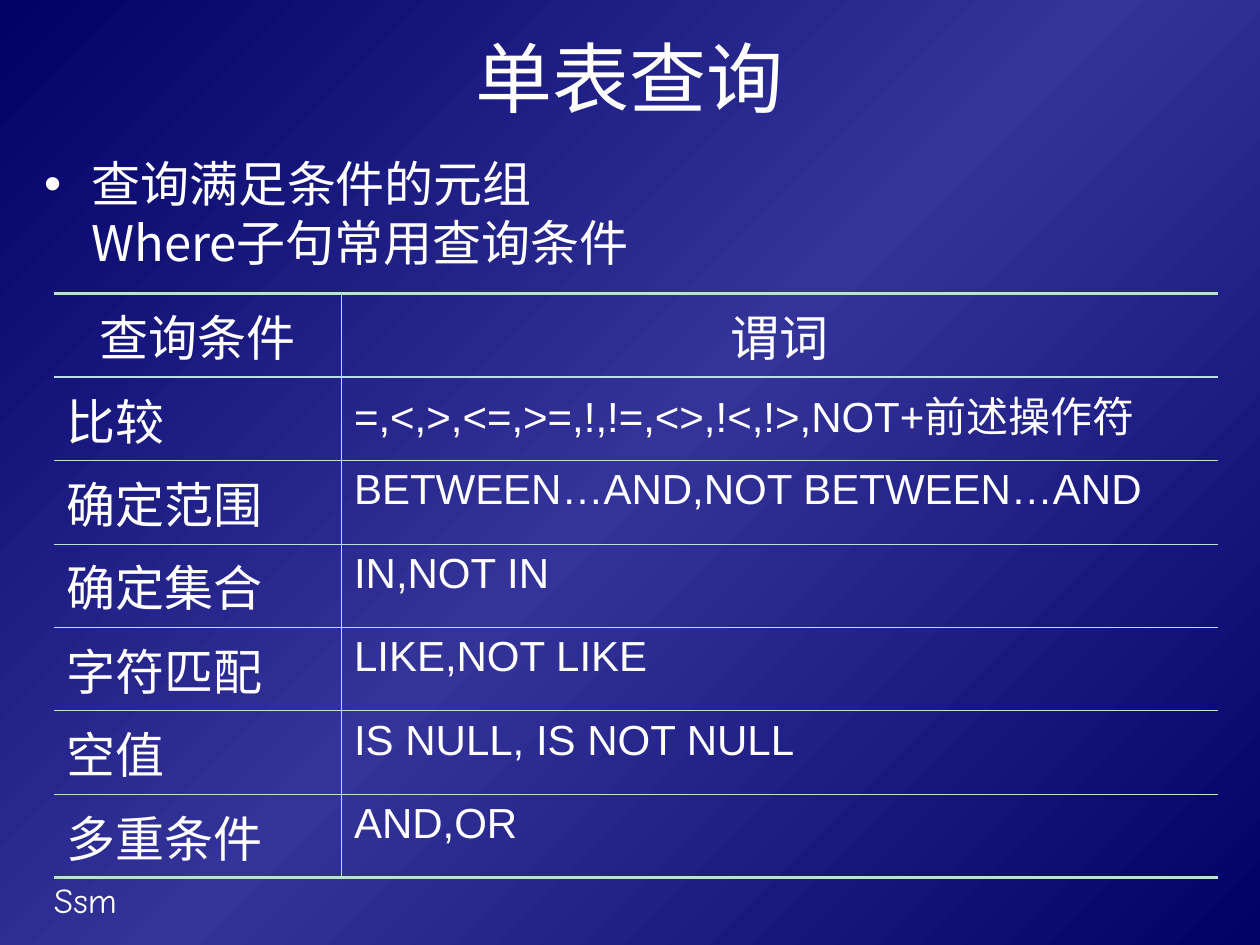
from copy import deepcopy

from lxml.etree import SubElement
from pptx import Presentation
from pptx.dml.color import RGBColor
from pptx.enum.text import MSO_ANCHOR, MSO_AUTO_SIZE, PP_ALIGN
from pptx.oxml.ns import qn
from pptx.util import Inches, Pt

TITLE = "单表查询"
BODY = "查询满足条件的元组\vWhere子句常用查询条件"
FOOTER = "Ssm"
CONDITIONS = [
    ("查询条件", "谓词"),
    ("比较", "=,<,>,<=,>=,!,!=,<>,!<,!>,NOT+前述操作符"),
    ("确定范围", "BETWEEN…AND,NOT BETWEEN…AND"),
    ("确定集合", "IN,NOT IN"),
    ("字符匹配", "LIKE,NOT LIKE"),
    ("空值", "IS NULL, IS NOT NULL"),
    ("多重条件", "AND,OR"),
]
COLUMN_WIDTHS = [2.28, 6.96]
ROW_HEIGHT = 0.66
THIN, THICK = 0.45, 1.47

NAVY = RGBColor(0x00, 0x00, 0x66)
INDIGO = RGBColor(0x33, 0x33, 0x99)
WHITE = RGBColor(0xFF, 0xFF, 0xFF)
PALE_TEAL = RGBColor(0xBB, 0xE0, 0xE3)
CJK_FONT = "Noto Sans CJK SC"


def place(shape, left, top, width, height):
    shape.left, shape.top = Inches(left), Inches(top)
    shape.width, shape.height = Inches(width), Inches(height)


def write(text_frame, text, size, font_name, alignment=PP_ALIGN.LEFT):
    paragraph = text_frame.paragraphs[0]
    paragraph.text = text
    paragraph.alignment = alignment
    paragraph.space_before = Pt(0)
    font = paragraph.font
    font.size = Pt(size)
    font.name = font_name
    font.color.rgb = WHITE
    properties = paragraph._p.pPr.find(qn("a:defRPr"))
    SubElement(properties, qn("a:ea")).set("typeface", CJK_FONT)


def paint_background(slide):
    fill = slide.background.fill
    fill.gradient()
    fill.gradient_angle = 315
    stop_list = slide.element.find(".//" + qn("a:gsLst"))
    stop_list.append(deepcopy(stop_list[0]))
    stops = zip(fill.gradient_stops, (0, 0.5, 1), (NAVY, INDIGO, NAVY))
    for stop, position, color in stops:
        stop.position = position
        stop.color.rgb = color


def set_borders(cell, widths):
    properties = cell._tc.get_or_add_tcPr()
    for side, width in zip("LRTB", widths):
        line = SubElement(properties, qn(f"a:ln{side}"))
        line.set("w", str(Pt(width)))
        if width:
            fill = SubElement(line, qn("a:solidFill"))
            SubElement(fill, qn("a:srgbClr")).set("val", str(PALE_TEAL))
        else:
            SubElement(line, qn("a:noFill"))


def add_conditions_table(slide):
    row_count, column_count = len(CONDITIONS), len(COLUMN_WIDTHS)
    table = slide.shapes.add_table(
        row_count, column_count, Inches(0.43), Inches(2.33),
        Inches(sum(COLUMN_WIDTHS)), Inches(ROW_HEIGHT * row_count),
    ).table
    table.first_row = table.horz_banding = False
    for column, width in zip(table.columns, COLUMN_WIDTHS):
        column.width = Inches(width)
    rules = [THICK, THICK] + [THIN] * (row_count - 2) + [THICK]
    uprights = [0, THIN, 0]
    for row, texts in enumerate(CONDITIONS):
        table.rows[row].height = Inches(ROW_HEIGHT)
        for column, text in enumerate(texts):
            cell = table.cell(row, column)
            is_predicate = row > 0 and column == 1
            alignment = PP_ALIGN.LEFT if row else PP_ALIGN.CENTER
            write(cell.text_frame, text, 24 if is_predicate else 28, "Arial", alignment)
            set_borders(cell, uprights[column:column + 2] + rules[row:row + 2])
            cell.fill.background()


def main():
    presentation = Presentation()
    presentation.slide_width, presentation.slide_height = Inches(10), Inches(7.5)
    slide = presentation.slides.add_slide(presentation.slide_layouts[1])
    paint_background(slide)

    title = slide.shapes.title
    place(title, 0.5, 0.17, 9, 0.87)
    title.text_frame.vertical_anchor = MSO_ANCHOR.MIDDLE
    title.text_frame.auto_size = MSO_AUTO_SIZE.NONE
    write(title.text_frame, TITLE, 44, CJK_FONT, PP_ALIGN.CENTER)

    body = slide.placeholders[1]
    place(body, 0.25, 1.17, 9.55, 5.75)
    body.text_frame.auto_size = MSO_AUTO_SIZE.NONE
    write(body.text_frame, BODY, 28, CJK_FONT)

    add_conditions_table(slide)

    footer = slide.shapes.add_textbox(Inches(0.33), Inches(6.92), Inches(2.08), Inches(0.44))
    footer.text_frame.word_wrap = True
    write(footer.text_frame, FOOTER, 20, "Comic Neue")

    presentation.save("out.pptx")


if __name__ == "__main__":
    main()
